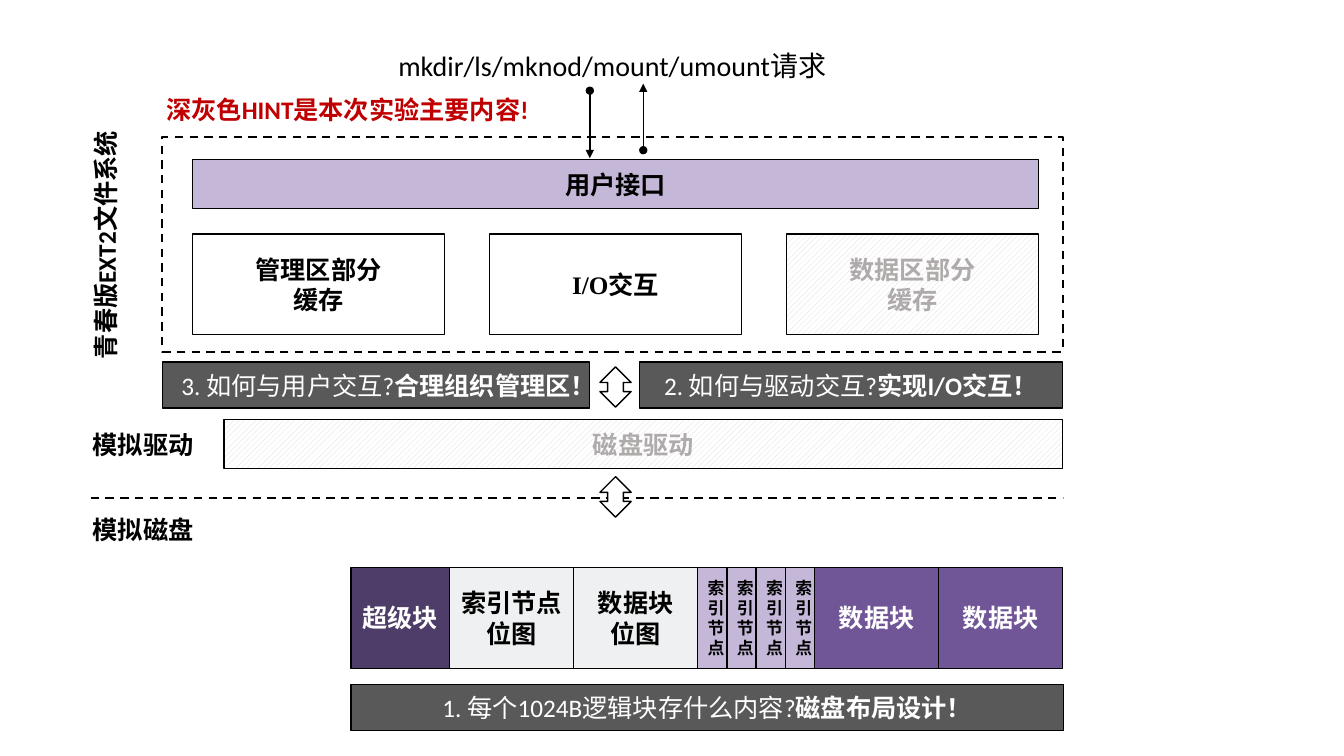
from dataclasses import dataclass

from lxml.etree import SubElement
from pptx import Presentation
from pptx.dml.color import RGBColor
from pptx.enum.dml import MSO_LINE_DASH_STYLE as Dash, MSO_PATTERN_TYPE as Pattern
from pptx.enum.shapes import MSO_CONNECTOR as Connector, MSO_SHAPE as Shape
from pptx.enum.text import MSO_ANCHOR as Anchor, PP_ALIGN as Align
from pptx.oxml.ns import qn
from pptx.util import Inches, Pt


@dataclass(frozen=True)
class Theme:
    """Colours, fonts and sizes of the slide."""
    ink: str = "000000"
    paper: str = "FFFFFF"
    muted: str = "AFABAB"
    hatch: str = "D9D9D9"
    alert: str = "C00000"
    hint: str = "595959"
    lilac: str = "C4B7D7"
    purple: str = "705697"
    plum: str = "4E3C69"
    pale: str = "EFF0F1"
    label_font: str = "Calibri"
    block_font: str = "Times New Roman"
    title: int = 20
    body: int = 18
    small: int = 12
    thin: float = 1
    dashed: float = 1.5


@dataclass(frozen=True)
class Box:
    """A region in inches."""
    left: float
    top: float
    width: float
    height: float

    def inner(self, dx, dy, width, height):
        """Return a box offset from this one."""
        return Box(self.left + dx, self.top + dy, width, height)

    def lengths(self):
        """Return left, top, width and height as lengths."""
        return [Inches(v) for v in (self.left, self.top, self.width, self.height)]


THEME = Theme()


def rgb(value):
    """Turn a hex string into a colour."""
    return RGBColor.from_string(value)


def style_text(frame, size, font, colour, bold, align):
    """Format every run of a text frame."""
    frame.word_wrap = True
    for paragraph in frame.paragraphs:
        paragraph.alignment = align
        for run in paragraph.runs:
            run.font.size = Pt(size)
            run.font.name = font
            run.font.bold = bold
            run.font.color.rgb = rgb(colour)


def add_block(slide, box, text="", fill=THEME.paper, colour=THEME.ink,
              size=THEME.body, kind=Shape.RECTANGLE, dashed=False):
    """Draw an outlined block with centred bold text."""
    block = slide.shapes.add_shape(kind, *box.lengths())
    block.shadow.inherit = False
    block.fill.solid()
    block.fill.fore_color.rgb = rgb(fill)
    block.line.color.rgb = rgb(THEME.ink)
    block.line.width = Pt(THEME.dashed if dashed else THEME.thin)
    if dashed:
        block.line.dash_style = Dash.DASH
    if text:
        block.text_frame.text = text
        block.text_frame.vertical_anchor = Anchor.MIDDLE
        style_text(block.text_frame, size, THEME.block_font, colour, True, Align.CENTER)
    return block


def add_given_block(slide, box, text):
    """Draw a hatched block for a layer that is already provided."""
    block = add_block(slide, box, text, colour=THEME.muted)
    block.fill.patterned()
    block.fill.pattern = Pattern.WIDE_UPWARD_DIAGONAL
    block.fill.fore_color.rgb = rgb(THEME.hatch)
    block.fill.back_color.rgb = rgb(THEME.paper)


def add_hint(slide, box, question, answer):
    """Draw a dark bar with a question and its bold answer."""
    bar = add_block(slide, box, question, THEME.hint)
    paragraph = bar.text_frame.paragraphs[0]
    paragraph.add_run().text = answer
    style_text(bar.text_frame, THEME.body, THEME.label_font, THEME.paper, False, Align.CENTER)
    paragraph.runs[1].font.bold = True


def add_label(slide, box, text, colour=THEME.ink, size=THEME.body,
              bold=True, align=Align.LEFT, rotation=0):
    """Place a plain text label."""
    label = slide.shapes.add_textbox(*box.lengths())
    label.rotation = rotation
    label.text_frame.text = text
    style_text(label.text_frame, size, THEME.label_font, colour, bold, align)


def add_line(slide, x1, y1, x2, y2, arrow=False):
    """Draw a dashed divider, or an arrow with a round start."""
    line = slide.shapes.add_connector(
        Connector.STRAIGHT, Inches(x1), Inches(y1), Inches(x2), Inches(y2))
    line.line.color.rgb = rgb(THEME.ink)
    line.line.width = Pt(THEME.thin if arrow else THEME.dashed)
    properties = line.element.spPr
    if arrow:
        outline = properties.find(qn("a:ln"))
        SubElement(outline, qn("a:headEnd"), type="oval")
        SubElement(outline, qn("a:tailEnd"), type="triangle")
    else:
        line.line.dash_style = Dash.DASH
    SubElement(properties, qn("a:effectLst"))


def draw_requests(slide, box):
    """Draw the user commands and the arrows to and from the file system."""
    add_label(slide, box.inner(0, 0, box.width, 0.44), "mkdir/ls/mknod/mount/umount请求",
              size=THEME.title, bold=False, align=Align.CENTER)
    call_x, reply_x = box.left + 4.24, box.left + 4.77
    add_line(slide, call_x, box.top + 0.47, call_x, box.top + 1.14, arrow=True)
    add_line(slide, reply_x, box.top + 1.06, reply_x, box.top + 0.4, arrow=True)
    add_label(slide, box.inner(-0.06, 0.46, 3.82, 0.4), "深灰色HINT是本次实验主要内容!", THEME.alert)


def draw_file_system(slide, box):
    """Draw the file system frame, its modules and the two hints below."""
    add_block(slide, box, dashed=True)
    add_label(slide, box.inner(-1.8, 0.86, 2.48, 0.4), "青春版EXT2文件系统", rotation=270)
    add_block(slide, box.inner(0.3, 0.22, 8.39, 0.49), "用户接口", THEME.lilac)
    modules = [("管理区部分\n缓存", add_block), ("I/O交互", add_block),
               ("数据区部分\n缓存", add_given_block)]
    pitch = (8.39 - 2.5) / 2
    for column, (name, draw) in enumerate(modules):
        draw(slide, box.inner(0.3 + column * pitch, 0.96, 2.5, 1), name)
    add_hint(slide, box.inner(0, 2.23, 4.24, 0.46), "3. 如何与用户交互?", "合理组织管理区！")
    add_hint(slide, box.inner(4.73, 2.23, 4.2, 0.46), "2. 如何与驱动交互?", "实现I/O交互！")


def draw_driver(slide, box):
    """Draw the driver layer, the divider and the exchange arrows."""
    add_label(slide, box.inner(0, 0.05, 1.25, 0.4), "模拟驱动")
    add_given_block(slide, box.inner(1.4, 0, box.width - 1.4, box.height), "磁盘驱动")
    divider = box.top + 0.78
    add_line(slide, box.left + 0.08, divider, box.left + box.width, divider)
    for dy in (-0.52, 0.57):
        add_block(slide, box.inner(5.13, dy, 0.31, 0.4), kind=Shape.UP_DOWN_ARROW)


def draw_disk(slide, box):
    """Draw the disk label, the row of disk blocks and the layout hint."""
    add_label(slide, box.inner(-2.66, -0.58, 1.75, 0.4), "模拟磁盘")
    inode = ("索引节点", 0.29, THEME.lilac, THEME.ink, THEME.small)
    data = ("数据块", 1.23, THEME.purple, THEME.paper, THEME.body)
    blocks = [("超级块", 0.98, THEME.plum, THEME.paper, THEME.body),
              ("索引节点\n位图", 1.23, THEME.pale, THEME.ink, THEME.body),
              ("数据块\n位图", 1.23, THEME.pale, THEME.ink, THEME.body),
              *[inode] * 4, *[data] * 2]
    dx = 0
    for name, width, fill, colour, size in blocks:
        add_block(slide, box.inner(dx, 0, width, box.height), name, fill, colour, size)
        dx += width
    add_hint(slide, box.inner(0, 1.16, box.width, 0.46),
             "1. 每个1024B逻辑块存什么内容?", "磁盘布局设计！")


def main():
    """Build and save the slide."""
    deck = Presentation()
    deck.slide_width, deck.slide_height = Inches(13.33), Inches(7.5)
    slide = deck.slides.add_slide(deck.slide_layouts[6])
    draw_file_system(slide, Box(1.61, 1.36, 8.93, 2.13))
    draw_driver(slide, Box(0.82, 4.16, 9.72, 0.49))
    draw_disk(slide, Box(3.48, 5.63, 7.07, 1))
    draw_requests(slide, Box(1.61, 0.43, 8.93, 1.14))
    deck.save("out.pptx")


if __name__ == "__main__":
    main()
